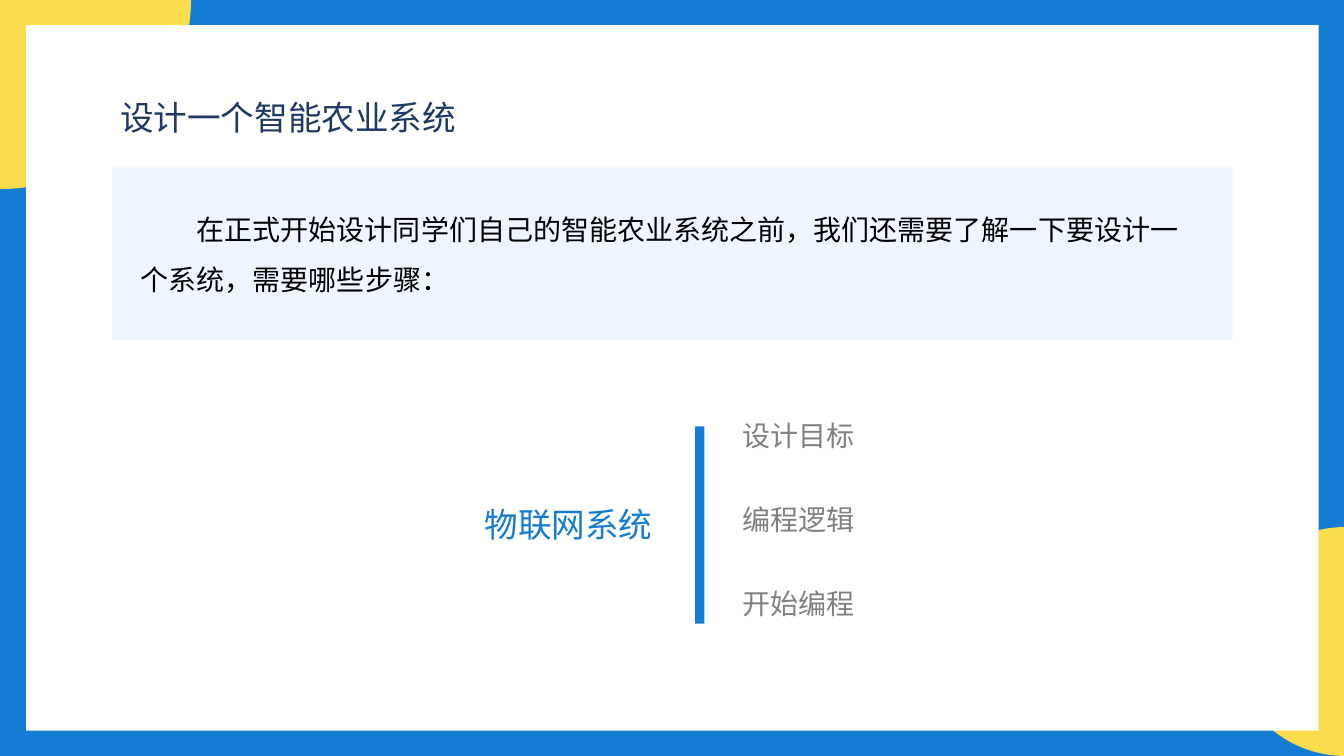
from lxml import etree
from pptx import Presentation
from pptx import util as u
from pptx.dml.color import RGBColor
from pptx.enum import shapes, text
from pptx.oxml.ns import qn

PX = 9525
FONT = "Noto Sans CJK SC"
COLORS = {
    "blue": "157CD3",
    "yellow": "FBDC4D",
    "white": "FFFFFF",
    "pale": "EFF5FF",
    "navy": "1F3964",
    "black": "000000",
    "grey": "808080",
}


class SlideBuilder:
    """Draws styled elements on one slide, with lengths in px."""

    def __init__(self, slide, background):
        self.slide = slide
        fill = slide.background.fill
        fill.solid()
        fill.fore_color.rgb = self.color(background)

    def color(self, name):
        return RGBColor.from_string(COLORS[name])

    def shape(self, kind, box, fill, rotation=0, adjustments=()):
        shape = self.slide.shapes.add_shape(kind, *(u.Emu(n * PX) for n in box))
        shape.shadow.inherit = False
        shape.fill.solid()
        shape.fill.fore_color.rgb = self.color(fill)
        shape.line.fill.background()
        shape.rotation = rotation
        for index, value in enumerate(adjustments):
            shape.adjustments[index] = value
        return shape

    def rect(self, box, fill):
        return self.shape(shapes.MSO_SHAPE.RECTANGLE, box, fill)

    def pie(self, box, end, rotation=0):
        self.shape(shapes.MSO_SHAPE.PIE, box, "yellow", rotation, (0.04, end))

    def set_words(self, frame, words, size, color, align=text.PP_ALIGN.LEFT):
        frame.word_wrap = True
        paragraph = frame.paragraphs[0]
        paragraph.text = words
        paragraph.alignment = align
        font = paragraph.font
        font.size = u.Pt(size)
        font.color.rgb = self.color(color)
        font.name = FONT
        defaults = paragraph._p.pPr.find(qn("a:defRPr"))
        etree.SubElement(defaults, qn("a:ea")).set("typeface", FONT)
        return paragraph

    def label(self, box, words, size, color, align=text.PP_ALIGN.LEFT):
        label = self.slide.shapes.add_textbox(*(u.Emu(n * PX) for n in box))
        self.set_words(label.text_frame, words, size, color, align)
        label.text_frame.auto_size = text.MSO_AUTO_SIZE.SHAPE_TO_FIT_TEXT

    def passage(self, box, words, size, inset, indent):
        frame = self.rect(box, "pale").text_frame
        frame.vertical_anchor = text.MSO_ANCHOR.TOP
        frame.margin_left = frame.margin_right = u.Emu(inset * PX)
        frame.margin_top = frame.margin_bottom = u.Emu(inset * PX)
        paragraph = self.set_words(frame, words, size, "black")
        paragraph.line_spacing = 1.5
        paragraph._p.pPr.set("marL", "0")
        paragraph._p.pPr.set("indent", str(u.Pt(indent)))


def main():
    deck = Presentation()
    deck.slide_width = u.Emu(1280 * PX)
    deck.slide_height = u.Emu(720 * PX)
    page = SlideBuilder(deck.slides.add_slide(deck.slide_layouts[6]), "blue")

    page.pie((-182, -184, 364, 364), 54.22)
    page.pie((1172, 502, 218, 218), 107.84, rotation=90)
    page.rect((25, 24, 1231, 672), "white")

    page.label((105, 88, 627, 48), "设计一个智能农业系统", 24, "navy")
    page.passage(
        (107, 159, 1067, 165),
        "在正式开始设计同学们自己的智能农业系统之前，我们还需要了解一下要设计一个系统，需要哪些步骤：",
        size=20, inset=27, indent=40,
    )

    page.label((434, 475, 215, 48), "物联网系统", 24, "blue", text.PP_ALIGN.CENTER)
    page.rect((662, 406, 9, 188), "blue")
    for row, step in enumerate(("设计目标", "编程逻辑", "开始编程")):
        page.label((698, 394 + 80 * row, 148, 42), step, 20, "grey")

    deck.save("out.pptx")


if __name__ == "__main__":
    main()
